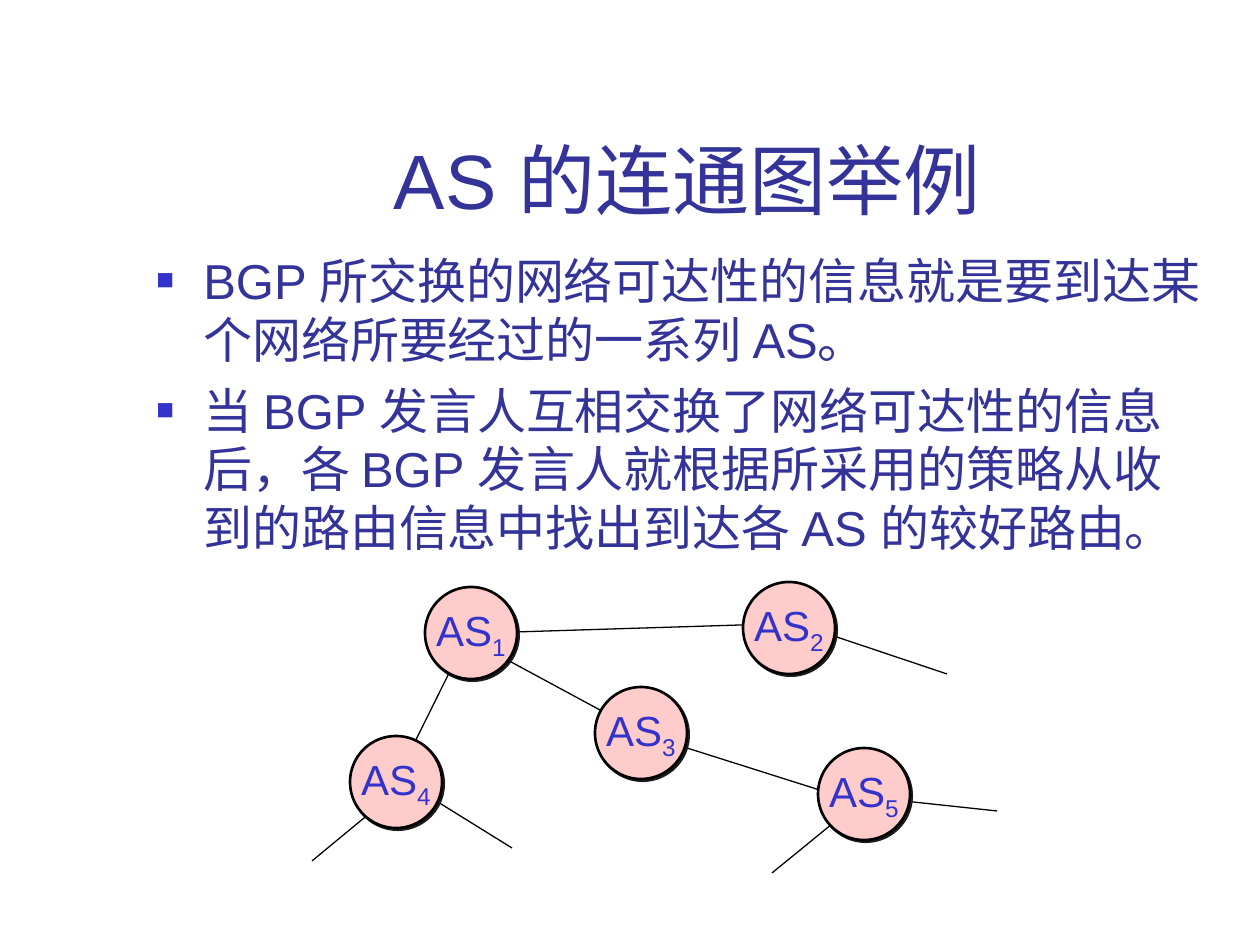
import dataclasses

import pptx
import pptx.dml.color
import pptx.enum.shapes
import pptx.enum.text
import pptx.oxml
import pptx.oxml.ns
import pptx.util

PX_PER_INCH = 126
EMU_PER_POINT = 12700


def px(length):
    return pptx.util.Emu(round(length * 914400 / PX_PER_INCH))


def rgb(value):
    return pptx.dml.color.RGBColor.from_string(value)


def add_xml(parent, xml):
    """Append a DrawingML element given as text without its namespace."""
    head, rest = xml.split(" ", 1)
    namespace = pptx.oxml.ns.nsdecls("a")
    parent.append(pptx.oxml.parse_xml(f"{head} {namespace} {rest}"))


@dataclasses.dataclass(frozen=True)
class Theme:
    font: str = "Arial"
    text: str = "333399"
    accent: str = "3333CC"
    node_fill: str = "FFCCCC"
    outline: str = "000000"
    shadow: str = "1C1C1C"
    title_size: int = 44
    body_size: int = 28
    node_size: int = 24
    link_width: float = 0.75
    node_line_width: float = 1.5
    shadow_distance: float = 1.4


class SlideBuilder:
    def __init__(self, slide, theme):
        self.slide = slide
        self.theme = theme

    def format_runs(self, paragraph, size, color):
        for run in paragraph.runs:
            run.font.name = self.theme.font
            run.font.size = pptx.util.Pt(size)
            run.font.color.rgb = rgb(color)

    def text_box(self, left, top, width, height):
        shape = self.slide.shapes.add_textbox(px(left), px(top), px(width), px(height))
        shape.text_frame.word_wrap = True
        return shape.text_frame

    def title(self, text, *box):
        text_frame = self.text_box(*box)
        text_frame.vertical_anchor = pptx.enum.text.MSO_ANCHOR.BOTTOM
        text_frame.text = text
        paragraph = text_frame.paragraphs[0]
        paragraph.alignment = pptx.enum.text.PP_ALIGN.CENTER
        self.format_runs(paragraph, self.theme.title_size, self.theme.text)

    def bullets(self, items, *box):
        text_frame = self.text_box(*box)
        text_frame.text = "\n".join(items)
        indent = px(47)
        for index, paragraph in enumerate(text_frame.paragraphs):
            if index:
                paragraph.space_before = pptx.util.Pt(7)
            properties = paragraph._p.get_or_add_pPr()
            properties.set("marL", str(indent))
            properties.set("indent", str(-indent))
            add_xml(properties, f'<a:buClr ><a:srgbClr val="{self.theme.accent}"/></a:buClr>')
            add_xml(properties, '<a:buSzPct val="60000"/>')
            add_xml(properties, f'<a:buFont typeface="{self.theme.font}"/>')
            add_xml(properties, '<a:buChar char="■"/>')
            self.format_runs(paragraph, self.theme.body_size, self.theme.text)

    def link(self, start, end):
        connector = self.slide.shapes.add_connector(
            pptx.enum.shapes.MSO_CONNECTOR.STRAIGHT, *map(px, start + end))
        connector.line.color.rgb = rgb(self.theme.outline)
        connector.line.width = pptx.util.Pt(self.theme.link_width)
        add_xml(connector._element.spPr, "<a:effectLst />")

    def node(self, number, left, top, diameter=92):
        """Draw one circle labelled AS with its number as a subscript."""
        shape = self.slide.shapes.add_shape(
            pptx.enum.shapes.MSO_SHAPE.OVAL, px(left), px(top), px(diameter), px(diameter))
        shape.fill.solid()
        shape.fill.fore_color.rgb = rgb(self.theme.node_fill)
        shape.line.color.rgb = rgb(self.theme.outline)
        shape.line.width = pptx.util.Pt(self.theme.node_line_width)
        distance = round(self.theme.shadow_distance * EMU_PER_POINT)
        add_xml(shape._element.spPr,
                f'<a:effectLst ><a:outerShdw blurRad="0" dist="{distance}" dir="2700000" '
                f'algn="ctr" rotWithShape="0"><a:srgbClr val="{self.theme.shadow}"/>'
                '</a:outerShdw></a:effectLst>')

        text_frame = shape.text_frame
        text_frame.word_wrap = False
        text_frame.vertical_anchor = pptx.enum.text.MSO_ANCHOR.MIDDLE
        paragraph = text_frame.paragraphs[0]
        paragraph.alignment = pptx.enum.text.PP_ALIGN.CENTER
        paragraph.add_run().text = "AS"
        subscript = paragraph.add_run()
        subscript.text = str(number)
        self.format_runs(paragraph, self.theme.node_size, self.theme.accent)
        subscript.font._element.set("baseline", "-25000")


LINKS = [
    ((412, 786), (512, 848)),
    ((387, 799), (312, 861)),
    ((848, 811), (772, 873)),
    ((483, 633), (772, 624)),
    ((798, 624), (947, 674)),
    ((476, 643), (624, 723)),
    ((649, 736), (848, 799)),
    ((885, 799), (997, 811)),
    ((399, 774), (461, 649)),
]
NODES = [(425, 587), (743, 582), (595, 687), (350, 736), (818, 748)]
POINTS = [
    "BGP 所交换的网络可达性的信息就是要到达某个网络所要经过的一系列 AS。",
    "当 BGP 发言人互相交换了网络可达性的信息后，各 BGP 发言人就根据所采用的策略"
    "从收到的路由信息中找出到达各 AS 的较好路由。",
]


def main():
    presentation = pptx.Presentation()
    presentation.slide_width = px(1260)
    presentation.slide_height = px(945)
    slide = presentation.slides.add_slide(presentation.slide_layouts[6])
    builder = SlideBuilder(slide, Theme())

    builder.title("AS 的连通图举例 ", 159, 29, 1074, 202)
    builder.bullets(POINTS, 144, 244, 1071, 358)
    for start, end in LINKS:
        builder.link(start, end)
    for number, (left, top) in enumerate(NODES, start=1):
        builder.node(number, left, top)

    presentation.save("out.pptx")


if __name__ == "__main__":
    main()
